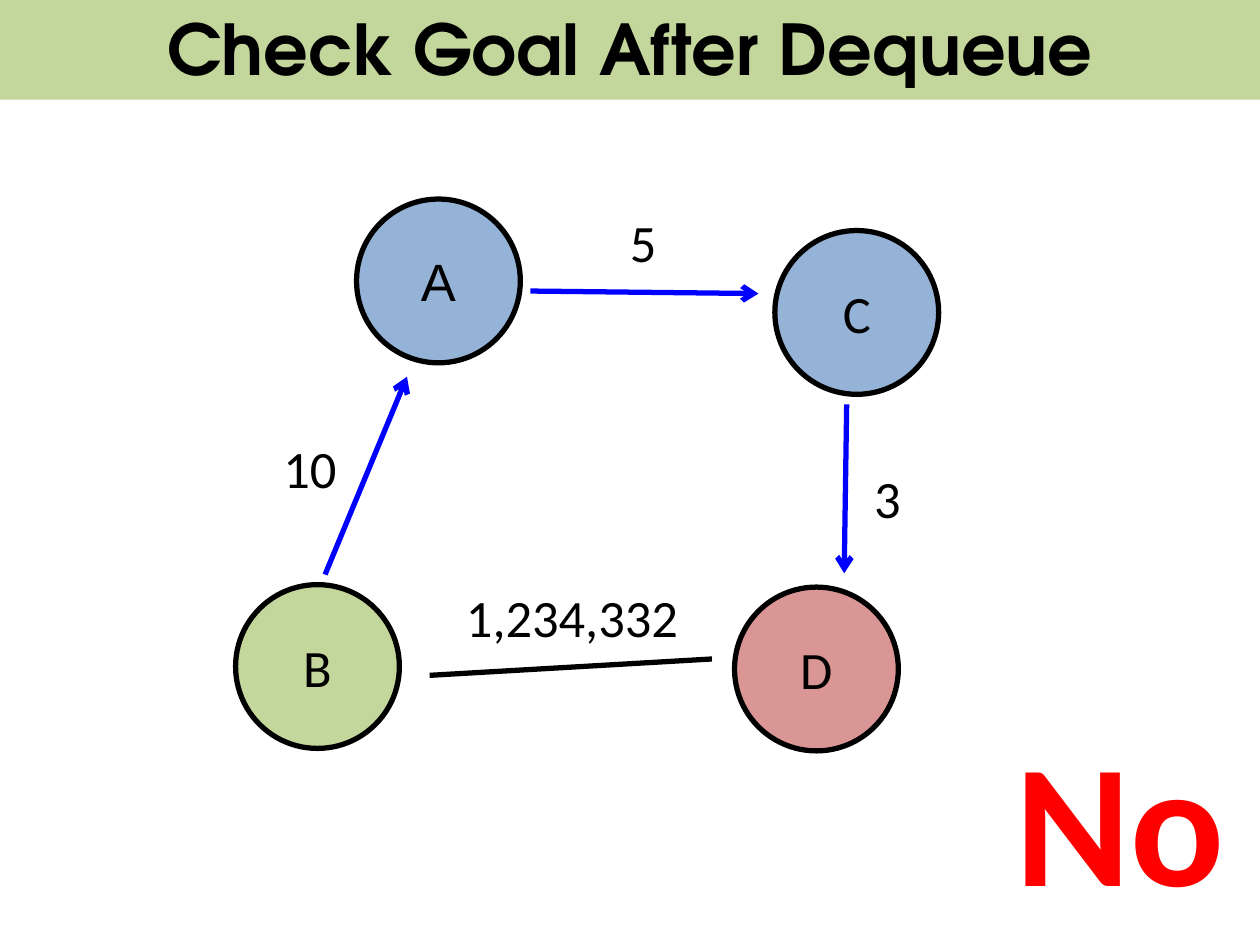
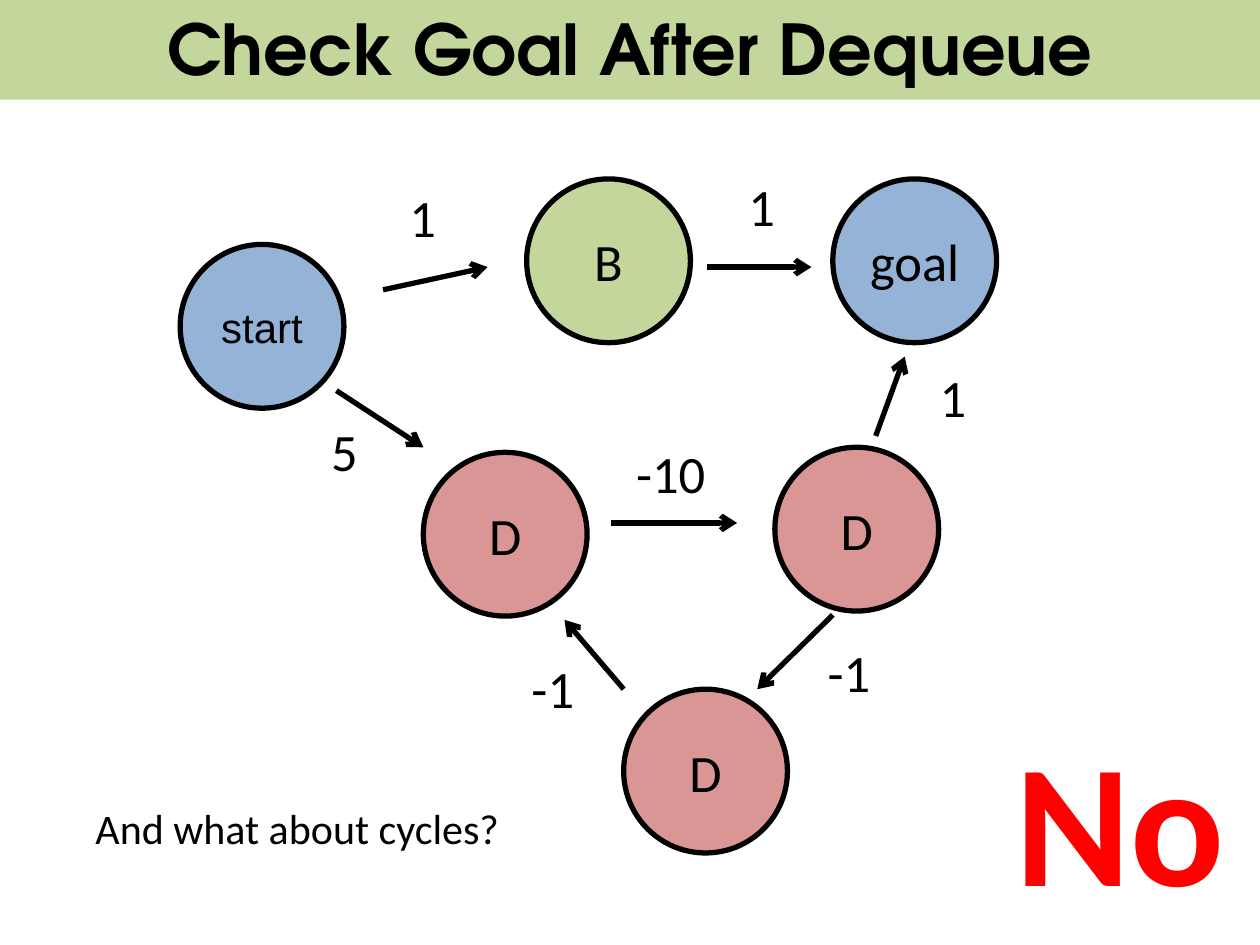
from lxml.etree import SubElement
from pptx import Presentation
from pptx.dml.color import RGBColor
from pptx.enum.shapes import MSO_CONNECTOR, MSO_SHAPE
from pptx.enum.text import MSO_ANCHOR, MSO_AUTO_SIZE, PP_ALIGN
from pptx.oxml.ns import qn
from pptx.util import Inches, Pt

BLACK, BLUE, RED = "000000", "0000FF", "FF0000"
SKY, GREEN, ROSE = "95B3D7", "C3D69B", "D99694"
DIAMETER = 1.3
LABEL_HEIGHT = 0.61
STROKE = 3

TITLE = {"name": "TeX Gyre Adventor", "size": Pt(40), "bold": True}
BODY = {"name": "Calibri", "size": Pt(30)}
ARIAL = {"name": "Arial", "size": Pt(30)}
SMALL_ARIAL = {"name": "Arial", "size": Pt(24)}
REMARK = {"name": "Calibri", "size": Pt(24)}
VERDICT = {"name": "Calibri", "size": Pt(100), "bold": True}


def paint(color_format, color):
    color_format.rgb = RGBColor.from_string(color)


def write(box, text, style, color=BLACK, align=PP_ALIGN.LEFT):
    para = box.text_frame.paragraphs[0]
    para.alignment = align
    span = para.add_run()
    span.text = text
    for name, value in style.items():
        setattr(span.font, name, value)
    paint(span.font.color, color)


def add_filled(page, kind, left, top, width, height, fill, text, style):
    shape = page.shapes.add_shape(
        kind, Inches(left), Inches(top), Inches(width), Inches(height))
    shape.shadow.inherit = False
    shape.fill.solid()
    paint(shape.fill.fore_color, fill)
    shape.line.fill.background()
    shape.text_frame.word_wrap = True
    shape.text_frame.vertical_anchor = MSO_ANCHOR.MIDDLE
    write(shape, text, style, align=PP_ALIGN.CENTER)
    return shape


def add_node(page, text, left, top, fill, style=BODY):
    node = add_filled(page, MSO_SHAPE.OVAL, left, top, DIAMETER, DIAMETER,
                      fill, text, style)
    paint(node.line.color, BLACK)
    node.line.width = Pt(STROKE)


def add_edge(page, start, end, color=BLACK, arrow=True):
    points = [Inches(value) for value in (*start, *end)]
    edge = page.shapes.add_connector(MSO_CONNECTOR.STRAIGHT, *points)
    paint(edge.line.color, color)
    edge.line.width = Pt(STROKE)
    if arrow:
        SubElement(edge.line._get_or_add_ln(), qn("a:tailEnd"), type="arrow")
    SubElement(edge._element.spPr, qn("a:effectLst"))


def add_label(page, text, left, top, width, height=LABEL_HEIGHT,
              style=BODY, color=BLACK):
    box = page.shapes.add_textbox(
        Inches(left), Inches(top), Inches(width), Inches(height))
    box.text_frame.word_wrap = False
    box.text_frame.auto_size = MSO_AUTO_SIZE.SHAPE_TO_FIT_TEXT
    write(box, text, style, color)


def add_page(deck):
    page = deck.slides.add_slide(deck.slide_layouts[6])
    add_filled(page, MSO_SHAPE.RECTANGLE, 0, -0.03, 10, 0.82, GREEN,
               "Check Goal After Dequeue", TITLE)
    add_label(page, "No", 7.96, 5.6, 1.88, 1.78, VERDICT, RED)
    return page


def add_graph(page, nodes, edges, labels):
    for node in nodes:
        add_node(page, *node)
    for edge in edges:
        add_edge(page, *edge)
    for label in labels:
        add_label(page, *label)


def add_long_path_page(deck):
    nodes = [
        ("A", 2.83, 1.58, SKY, ARIAL),
        ("B", 1.87, 4.64, GREEN),
        ("C", 6.15, 1.83, SKY),
        ("D", 5.83, 4.66, ROSE),
    ]
    edges = [
        ((2.58, 4.56), (3.23, 2.99), BLUE),
        ((4.21, 2.31), (6.02, 2.33), BLUE),
        ((6.72, 3.21), (6.7, 4.55), BLUE),
        ((3.41, 5.36), (5.65, 5.23), BLACK, False),
    ]
    labels = [
        ("10", 2.15, 3.41, 0.67),
        ("5", 4.9, 1.62, 0.44),
        ("3", 6.84, 3.65, 0.44),
        ("1,234,332", 3.6, 4.59, 2.07),
    ]
    add_graph(add_page(deck), nodes, edges, labels)


def add_cycle_page(deck):
    nodes = [
        ("start", 1.43, 1.94, SKY, SMALL_ARIAL),
        ("B", 4.18, 1.42, GREEN),
        ("goal", 6.61, 1.42, SKY),
        ("D", 3.36, 3.59, ROSE),
        ("D", 6.15, 3.55, ROSE),
        ("D", 4.95, 5.47, ROSE),
    ]
    edges = [
        ((3.04, 2.3), (3.87, 2.12)),
        ((5.61, 2.12), (6.44, 2.12)),
        ((2.67, 3.1), (3.36, 3.55)),
        ((4.85, 4.15), (5.85, 4.15)),
        ((6.61, 4.88), (6.01, 5.47)),
        ((4.95, 5.47), (4.48, 4.92)),
        ((6.95, 3.46), (7.18, 2.83)),
    ]
    labels = [
        ("1", 3.15, 1.42, 0.42),
        ("1", 5.84, 1.33, 0.42),
        ("5", 2.53, 3.28, 0.42),
        ("-10", 4.95, 3.45, 0.76),
        ("1", 7.36, 2.85, 0.42),
        ("-1", 4.12, 5.16, 0.54),
        ("-1", 6.47, 5.03, 0.54),
        ("And what about cycles?", 0.66, 6.32, 3.44, 0.5, REMARK),
    ]
    add_graph(add_page(deck), nodes, edges, labels)


def main():
    deck = Presentation()
    deck.slide_width = Inches(10)
    deck.slide_height = Inches(7.5)
    add_long_path_page(deck)
    add_cycle_page(deck)
    deck.save("out.pptx")


if __name__ == "__main__":
    main()
